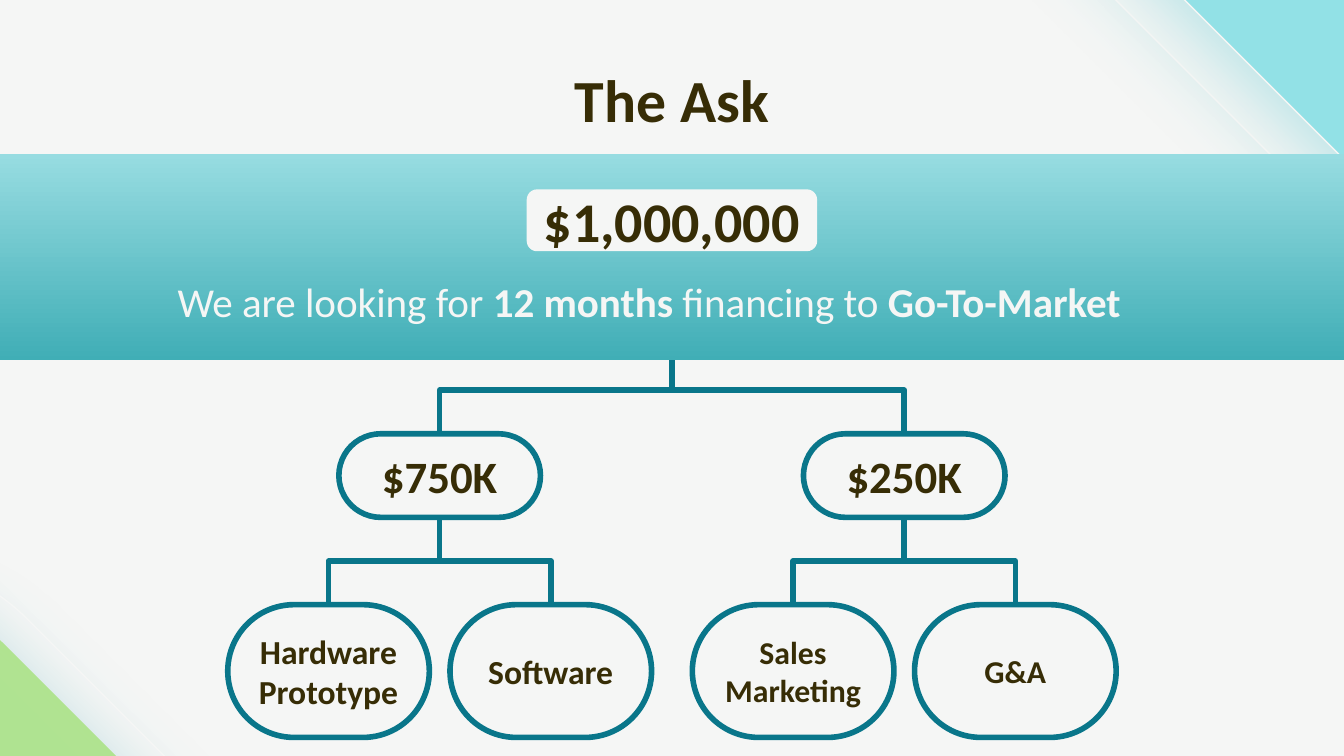
from collections import namedtuple
from dataclasses import dataclass

import pptx
import pptx.util
from pptx.dml.color import RGBColor
from pptx.enum.shapes import MSO_CONNECTOR, MSO_SHAPE
from pptx.enum.text import MSO_ANCHOR, PP_ALIGN
from pptx.oxml import parse_xml
from pptx.oxml.ns import nsdecls, qn

Cm, Pt = pptx.util.Cm, pptx.util.Pt
Box = namedtuple("Box", "left top width height")  # centimetres


@dataclass(frozen=True)
class Theme:
    font: str = "Calibri"
    paper: str = "F5F6F5"
    ink: str = "372D06"
    teal: str = "09768A"
    aqua: str = "92E1E6"
    green: str = "83D837"
    glow: str = "64CBD2"
    band_top: str = "97DCE1"
    band_bottom: str = "40AEB6"
    title: int = 32
    amount: int = 30
    share: int = 24
    tagline: int = 22
    item: int = 18
    small_item: int = 17
    outline: float = 3
    hairline: float = 0.75


THEME = Theme()
PAGE = Box(0, 0, 25.4, 14.29)


def rgb(code):
    return RGBColor.from_string(code)


def add_shape(page, kind, box, fill=None, line=None, weight=THEME.outline):
    shape = page.shapes.add_shape(kind, *map(Cm, box))
    shape.shadow.inherit = False
    if fill:
        shape.fill.solid()
        shape.fill.fore_color.rgb = rgb(fill)
    else:
        shape.fill.background()
    if line:
        shape.line.color.rgb = rgb(line)
        shape.line.width = Pt(weight)
    else:
        shape.line.fill.background()
    return shape


def write_lines(shape, lines, size, color=THEME.ink, bold=True,
                margin=0.0, anchor=MSO_ANCHOR.MIDDLE):
    """Each line is a list of (text, bold) spans or a plain string."""
    frame = shape.text_frame
    frame.word_wrap = True
    frame.vertical_anchor = anchor
    frame.margin_left = frame.margin_right = Cm(margin)
    frame.margin_top = frame.margin_bottom = Cm(margin)
    for index, line in enumerate(lines):
        para = frame.add_paragraph() if index else frame.paragraphs[0]
        para.alignment = PP_ALIGN.CENTER
        para.font.name = THEME.font
        para.font.size = Pt(size)
        para.font.color.rgb = rgb(color)
        if isinstance(line, str):
            para.font.bold = bold
            para.add_run().text = line
        else:
            for text, heavy in line:
                span = para.add_run()
                span.text = text
                span.font.bold = heavy


def add_text(page, box, lines, size, **style):
    frame_box = page.shapes.add_textbox(*map(Cm, box))
    write_lines(frame_box, lines, size, margin=0.25, anchor=MSO_ANCHOR.TOP, **style)


def add_corner_tile(page, center, angle, fill, shadow, line=None, opacity=None):
    """Large tilted square; shadow is (color, alpha %, blur, distance, degrees)."""
    side = 24.74
    box = Box(center[0] - side / 2, center[1] - side / 2, side, side)
    tile = add_shape(page, MSO_SHAPE.ROUNDED_RECTANGLE, box, fill, line, THEME.hairline)
    tile.rotation = angle
    properties = tile._element.spPr
    if opacity:
        color = properties.find(qn("a:solidFill")).find(qn("a:srgbClr"))
        color.append(parse_xml(f'<a:alpha {nsdecls("a")} val="{opacity * 1000}"/>'))
    tint, alpha, blur, distance, degrees = shadow
    properties.find(qn("a:effectLst")).append(parse_xml(
        f'<a:outerShdw {nsdecls("a")} blurRad="{Pt(blur)}" dist="{Pt(distance)}" '
        f'dir="{degrees * 60000}"><a:srgbClr val="{tint}">'
        f'<a:alpha val="{alpha * 1000}"/></a:srgbClr></a:outerShdw>'))


def add_corners(page, box):
    right, bottom = box.left + box.width, box.top + box.height
    glow = (THEME.glow, 30, 27, 10.5, 90)
    veil = dict(angle=45, fill=THEME.paper, shadow=glow, line=THEME.paper, opacity=42)
    # Top right
    add_corner_tile(page, (right + 7.87, box.top - 5.31), **veil)
    add_corner_tile(page, (right + 10.8, box.top - 3.68), 45, THEME.aqua, glow, THEME.paper)
    # Bottom left
    add_corner_tile(page, (box.left - 10.59, bottom + 4.71), 315, THEME.green,
                    (THEME.teal, 26, 27, 5.2, 180))
    add_corner_tile(page, (box.left - 2.39, bottom + 12), **veil)


def add_branch(page, parent_x, child_x, top, bottom):
    """Elbow that leaves the parent downwards: a sideways elbow turned by 270 degrees."""
    x, y = (parent_x + child_x) / 2, (top + bottom) / 2
    half_drop = (bottom - top) / 2
    half_span = abs(child_x - parent_x) / 2
    side = half_drop if child_x > parent_x else -half_drop
    branch = page.shapes.add_connector(
        MSO_CONNECTOR.ELBOW, Cm(x + side), Cm(y - half_span),
        Cm(x - side), Cm(y + half_span))
    branch.line.color.rgb = rgb(THEME.teal)
    branch.line.width = Pt(THEME.outline)
    properties = branch._element.spPr
    properties.find(qn("a:xfrm")).set("rot", str(270 * 60000))
    properties.append(parse_xml(f'<a:effectLst {nsdecls("a")}/>'))


def add_node(page, x, top, height, lines, size):
    width = 3.81
    pill = add_shape(page, MSO_SHAPE.ROUNDED_RECTANGLE,
                     Box(x - width / 2, top, width, height), line=THEME.teal)
    pill.adjustments[0] = 0.5
    write_lines(pill, lines, size)


def add_budget_tree(page, box, shares):
    gap, share_height, item_height = 1.65, 1.58, 2.51
    root_x = box.left + box.width / 2
    share_top = box.top + gap
    share_bottom = share_top + share_height
    item_top = share_bottom + gap
    for side, (amount, items) in zip((-1, 1), shares):
        share_x = root_x + side * 4.39
        add_branch(page, root_x, share_x, box.top, share_top)
        add_node(page, share_x, share_top, share_height, [amount], THEME.share)
        for item_side, (lines, size) in zip((-1, 1), items):
            item_x = share_x + item_side * 2.1
            add_branch(page, share_x, item_x, share_bottom, item_top)
            add_node(page, item_x, item_top, item_height, lines, size)


def add_ask_band(page, box):
    band = add_shape(page, MSO_SHAPE.RECTANGLE, box)
    band.fill.gradient()
    band.fill.gradient_angle = 270
    for stop, color, position in zip(band.fill.gradient_stops,
                                     (THEME.band_top, THEME.band_bottom), (0, 1)):
        stop.color.rgb = rgb(color)
        stop.position = position
    # Amount
    width = 5.49
    badge = add_shape(page, MSO_SHAPE.ROUNDED_RECTANGLE,
                      Box(box.left + (box.width - width) / 2, box.top + 0.66, width, 1.17),
                      THEME.paper)
    write_lines(badge, ["$1,000,000"], THEME.amount)
    # Tagline
    add_text(page, Box(box.left + 1.42, box.top + 2.06, 21.7, 1.6),
             [[("We are looking for ", False), ("12 months", True),
               (" financing to ", False), ("Go-To-Market", True)]],
             THEME.tagline, color=THEME.paper)


def main():
    deck = pptx.Presentation()
    deck.slide_width, deck.slide_height = Cm(PAGE.width), Cm(PAGE.height)
    page = deck.slides.add_slide(deck.slide_layouts[6])
    page.background.fill.solid()
    page.background.fill.fore_color.rgb = rgb(THEME.paper)

    add_corners(page, PAGE)
    add_budget_tree(page, Box(4.32, 6.55, 16.76, 7.39), [
        ("$750K", [(["Hardware", "Prototype"], THEME.item), (["Software"], THEME.item)]),
        ("$250K", [(["Sales", "Marketing"], THEME.small_item), (["G&A"], THEME.small_item)]),
    ])
    add_ask_band(page, Box(0, 2.92, PAGE.width, 3.89))
    add_text(page, Box(2, 0.94, 21.4, 1.6), ["The Ask"], THEME.title)
    deck.save("out.pptx")


if __name__ == "__main__":
    main()
